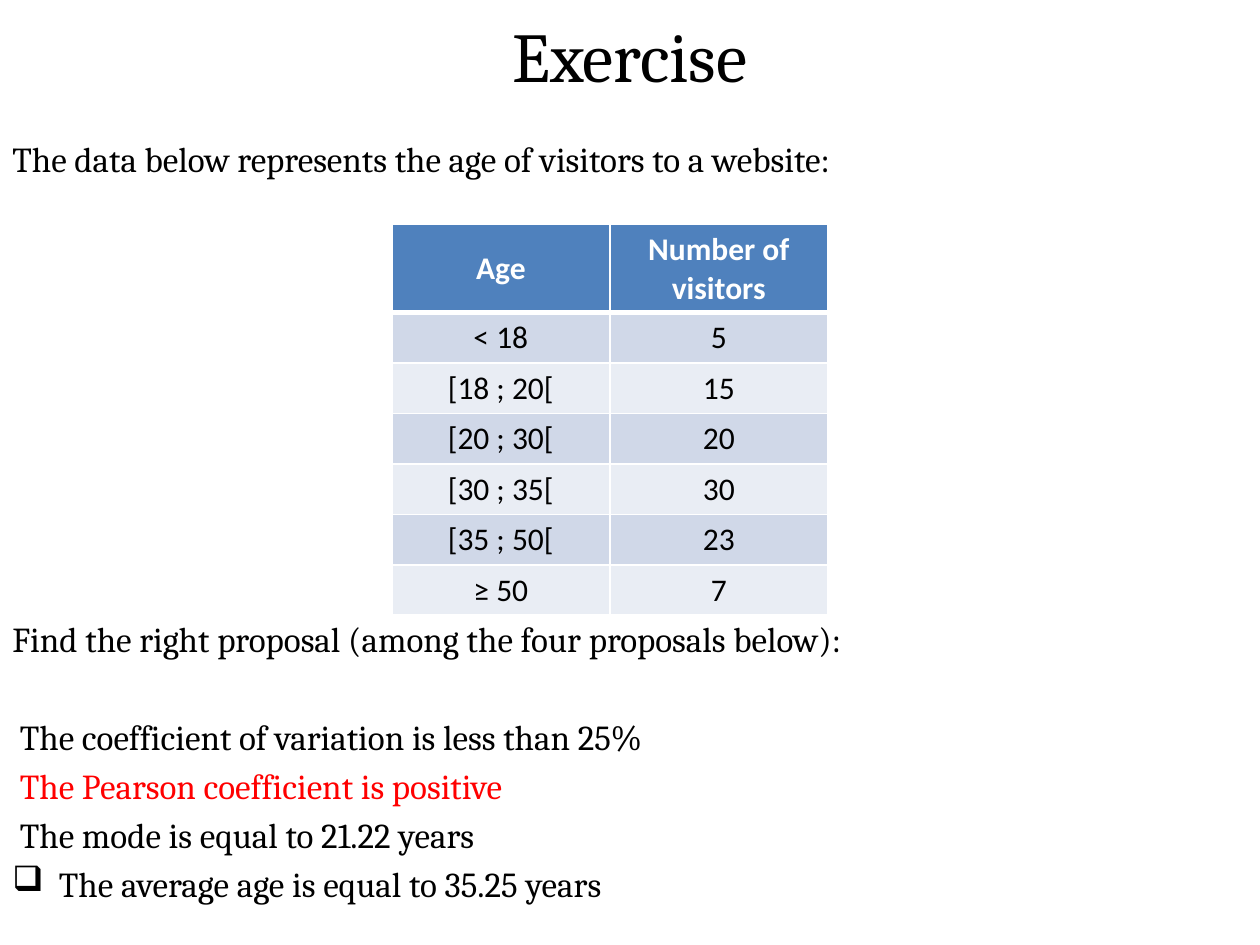
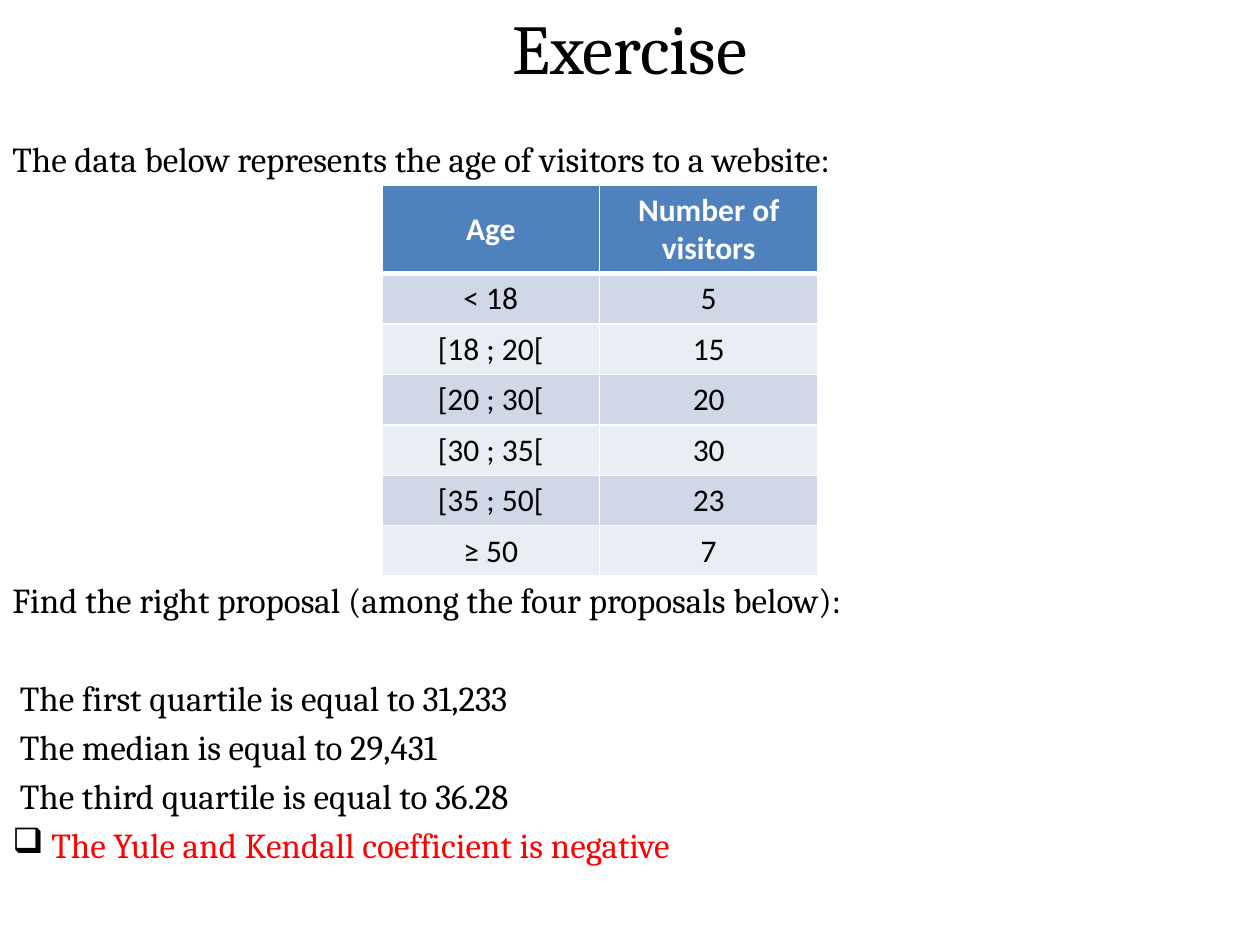
from pptx import Presentation
from pptx.dml.color import RGBColor
from pptx.enum.text import MSO_ANCHOR, PP_ALIGN
from pptx.oxml import parse_xml
from pptx.oxml.ns import nsdecls
from pptx.util import Inches, Pt

BLACK = RGBColor(0, 0, 0)
WHITE = RGBColor(255, 255, 255)
RED = RGBColor(255, 0, 0)
BLUE = RGBColor(0x4F, 0x81, 0xBD)
BANDS = [RGBColor(0xE9, 0xED, 0xF4), RGBColor(0xD0, 0xD8, 0xE8)]

# Shared formats
TITLE = {"name": "Cambria", "size": Pt(40)}
BODY = {"name": "Cambria", "size": Pt(20)}
HEAD = {"name": "Calibri", "size": Pt(18), "bold": True}
CELL = {"name": "Calibri", "size": Pt(18), "bold": False}
LINE = 28  # body line pitch in points

INTRO = "The data below represents the age of visitors to a website:"
TASK = "Find the right proposal (among the four proposals below):"
AGES = [
    ("Age", "Number of visitors"),
    ("< 18", "5"),
    ("[18 ; 20[", "15"),
    ("[20 ; 30[", "20"),
    ("[30 ; 35[", "30"),
    ("[35 ; 50[", "23"),
    ("≥ 50", "7"),
]

# One entry per slide; "hang" is the text indent of the bulleted proposal
PAGES = [
    {"title": -0.19, "table": (3.11, 1.78), "gap": 246, "hang": 0.37, "red": 1,
     "items": ["The coefficient of variation is less than 25%",
               "The Pearson coefficient is positive",
               "The mode is equal to 21.22 years",
               "The average age is equal to 35.25 years"]},
    {"title": -0.26, "table": (3.03, 1.47), "gap": 224, "hang": 0.31, "red": 3,
     "items": ["The first quartile is equal to 31,233",
               "The median is equal to 29,431",
               "The third quartile is equal to 36.28",
               "The Yule and Kendall coefficient is negative"]},
]


def style(para, text, form, color=BLACK):
    run = para.add_run()
    run.text = text
    for key, value in form.items():
        setattr(run.font, key, value)
    run.font.color.rgb = color


def add_box(slide, left, top, width, height):
    shape = slide.shapes.add_textbox(*map(Inches, (left, top, width, height)))
    shape.text_frame.word_wrap = True
    return shape.text_frame


def add_title(slide, top):
    frame = add_box(slide, 0.5, top, 9, 1.25)
    frame.vertical_anchor = MSO_ANCHOR.MIDDLE
    para = frame.paragraphs[0]
    para.alignment = PP_ALIGN.CENTER
    style(para, "Exercise", TITLE)


def indent(para, left, mark=None):
    props = para._p.get_or_add_pPr()
    props.set("marL", str(Inches(left)))
    if mark:
        props.set("indent", str(-Inches(left)))
        props.append(parse_xml(f'<a:buClr {nsdecls("a")}><a:srgbClr val="{BLACK}"/></a:buClr>'))
        props.append(parse_xml(f'<a:buChar {nsdecls("a")} char="{mark}"/>'))


def add_body(slide, page):
    frame = add_box(slide, 0, 0.99, 10, 6.4)
    # Space before the task leaves room for the table
    gaps = [0, page["gap"], LINE, 0, 0, 0]
    last = len(gaps) - 1
    for i, (text, gap) in enumerate(zip([INTRO, TASK] + page["items"], gaps)):
        para = frame.add_paragraph() if i else frame.paragraphs[0]
        para.line_spacing = Pt(LINE)
        if gap:
            para.space_before = Pt(gap)
        if i == last:
            indent(para, page["hang"], "❑")
        elif i > 1:
            indent(para, 0.06)
        style(para, text, BODY, RED if i - 2 == page["red"] else BLACK)


def add_edges(cell, row):
    props = cell._tc.get_or_add_tcPr()
    wide = {"T": 3 if row == 1 else 1, "B": 3 if row == 0 else 1}
    for side in "LRTB":
        props.append(parse_xml(
            f'<a:ln{side} {nsdecls("a")} w="{Pt(wide.get(side, 1))}"><a:solidFill>'
            f'<a:srgbClr val="{WHITE}"/></a:solidFill></a:ln{side}>'))


def add_ages(slide, left, top):
    size = map(Inches, (left, top, 3.46, 3.1))
    table = slide.shapes.add_table(len(AGES), 2, *size).table
    for r, texts in enumerate(AGES):
        table.rows[r].height = Inches(0.4 if r else 0.69)
        for c, text in enumerate(texts):
            cell = table.cell(r, c)
            add_edges(cell, r)
            cell.fill.solid()
            cell.fill.fore_color.rgb = BANDS[r % 2] if r else BLUE
            cell.vertical_anchor = MSO_ANCHOR.TOP if r else MSO_ANCHOR.MIDDLE
            para = cell.text_frame.paragraphs[0]
            para.alignment = PP_ALIGN.CENTER
            style(para, text, CELL if r else HEAD, BLACK if r else WHITE)


def main():
    deck = Presentation()
    deck.slide_width, deck.slide_height = Inches(10), Inches(7.5)
    for page in PAGES:
        slide = deck.slides.add_slide(deck.slide_layouts[6])
        add_title(slide, page["title"])
        add_body(slide, page)
        add_ages(slide, *page["table"])
    deck.save("out.pptx")


if __name__ == "__main__":
    main()
